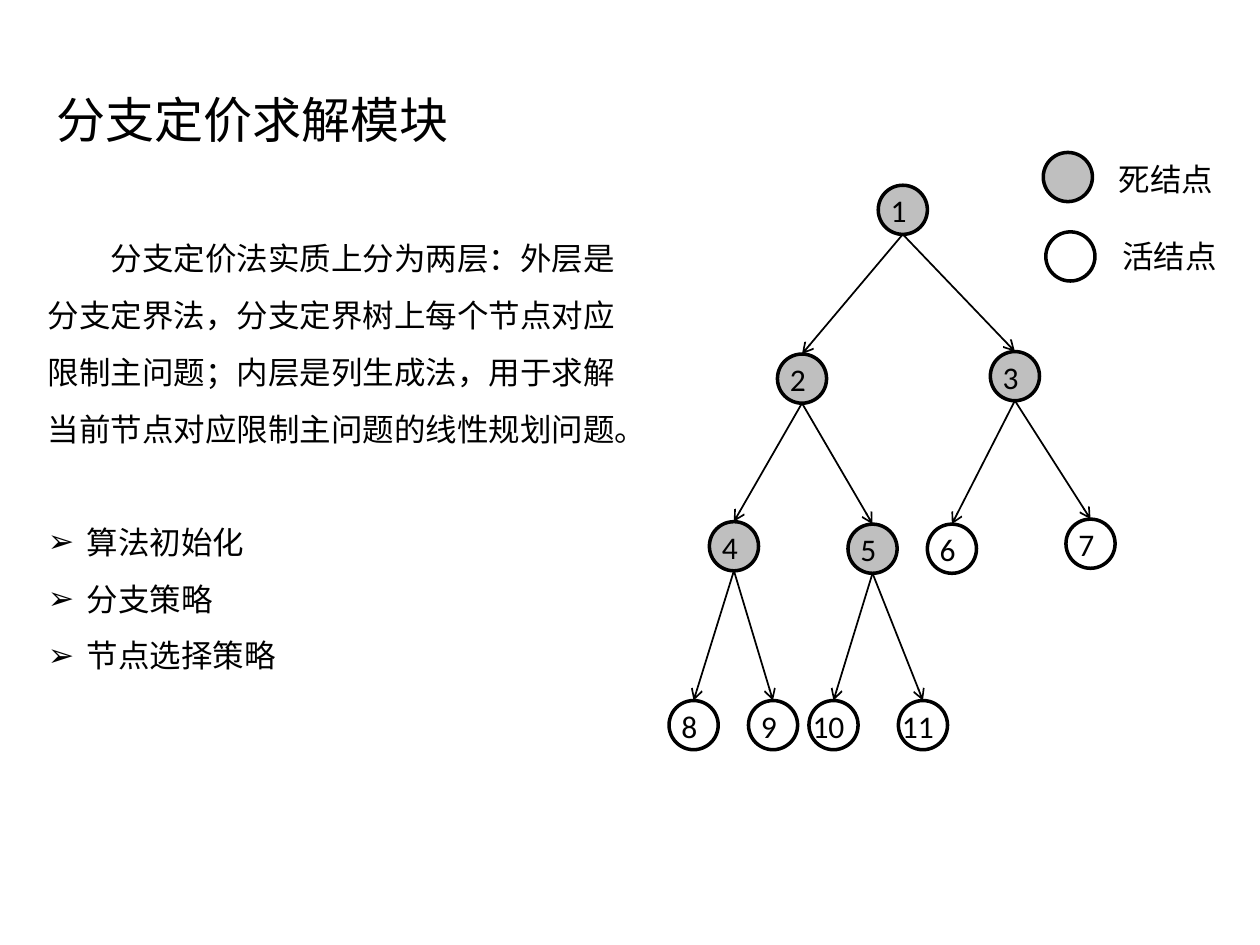
from lxml.etree import SubElement
from pptx import Presentation
from pptx.dml.color import RGBColor
from pptx.enum.shapes import MSO_CONNECTOR as Connector, MSO_SHAPE as Shape
from pptx.enum.text import MSO_ANCHOR as Anchor, MSO_AUTO_SIZE as AutoSize, PP_ALIGN as Align
from pptx.oxml.ns import qn
from pptx.util import Inches, Pt

BLACK, GREY = "000000", "BFBFBF"
SIZE = 0.39
INTRO = (
    "分支定价法实质上分为两层：外层是分支定界法，分支定界树上每个节点对应"
    "限制主问题；内层是列生成法，用于求解当前节点对应限制主问题的线性规划问题。"
)
TOPICS = ["算法初始化", "分支策略", "节点选择策略"]
NODES = {
    1: (6.97, 1.47), 2: (6.17, 2.81), 3: (7.86, 2.79), 4: (5.63, 4.14),
    5: (6.73, 4.16), 6: (7.36, 4.16), 7: (8.46, 4.12), 8: (5.31, 5.56),
    9: (5.94, 5.56), 10: (6.42, 5.56), 11: (7.13, 5.56),
}
CHILDREN = {1: (2, 3), 2: (4, 5), 3: (6, 7), 4: (8, 9), 5: (10, 11)}
LEGEND = [("死结点", 8.28, 1.21, GREY, 8.78, 1.22), ("活结点", 8.3, 1.84, None, 8.81, 1.83)]


def color(value):
    """Turn a hex string into a colour."""
    return RGBColor.from_string(value)


def apply(target, values):
    """Set every attribute named in a dict."""
    for name, value in values.items():
        setattr(target, name, value)


class TreeSlide:
    """Hold the style and the current slide, and draw its elements."""

    def __init__(self, deck):
        """Add a page with a title and a body."""
        self.page = deck.slides.add_slide(deck.slide_layouts[1])
        self.label = {"name": "Calibri", "size": Pt(18)}
        self.heading = {"name": "Arial", "size": Pt(28)}
        self.prose = {"name": "Times New Roman", "size": Pt(18)}

    def place(self, box, left, top, width, height):
        """Move and size a placeholder."""
        apply(box, {"left": Inches(left), "top": Inches(top),
                    "width": Inches(width), "height": Inches(height)})

    def add_span(self, para, text, style):
        """Add a left-aligned span of text in a style."""
        para.alignment = Align.LEFT
        span = para.add_run()
        span.text = text
        apply(span.font, style)
        span.font.color.rgb = color(BLACK)

    def title(self, text, *bounds):
        """Fill the title placeholder."""
        box = self.page.shapes.title
        self.place(box, *bounds)
        apply(box.text_frame, {"vertical_anchor": Anchor.MIDDLE, "word_wrap": True,
                               "auto_size": AutoSize.NONE})
        self.add_span(box.text_frame.paragraphs[0], text, self.heading)

    def body(self, intro, topics, *bounds):
        """Fill the body placeholder with an indented paragraph and a bulleted list."""
        box = self.page.placeholders[1]
        self.place(box, *bounds)
        frame = box.text_frame
        apply(frame, {"vertical_anchor": Anchor.TOP, "word_wrap": True,
                      "auto_size": AutoSize.NONE})
        for index, text in enumerate([intro, *topics]):
            para = frame.paragraphs[0] if index == 0 else frame.add_paragraph()
            gap = Pt(32.5) if index == 1 else Pt(0)
            apply(para, {"line_spacing": 1.5, "space_before": gap, "space_after": Pt(0)})
            self.add_span(para, text, self.prose)
            margin, indent = (0.31, -0.31) if index else (0, 0.5)
            props = para._p.get_or_add_pPr()
            props.set("marL", str(Inches(margin)))
            props.set("indent", str(Inches(indent)))
            if index:
                SubElement(props, qn("a:buFont"), typeface="Arial")
                SubElement(props, qn("a:buChar"), char="➢")
            else:
                SubElement(props, qn("a:buNone"))

    def circle(self, left, top, fill):
        """Draw an outlined circle, filled or open."""
        shape = self.page.shapes.add_shape(
            Shape.OVAL, Inches(left), Inches(top), Inches(SIZE), Inches(SIZE))
        shape.shadow.inherit = False
        if fill:
            shape.fill.solid()
            shape.fill.fore_color.rgb = color(fill)
        else:
            shape.fill.background()
        shape.line.color.rgb = color(BLACK)
        shape.line.width = Pt(2)
        return shape

    def text(self, text, left, top, width):
        """Put a label in a text box."""
        box = self.page.shapes.add_textbox(
            Inches(left), Inches(top), Inches(width), Inches(0.4))
        box.text_frame.word_wrap = True
        self.add_span(box.text_frame.paragraphs[0], text, self.label)

    def node(self, number, left, top, fill):
        """Draw a numbered tree node."""
        shape = self.circle(left, top, fill)
        wide = number > 9
        self.text(str(number), left - 0.07 if wide else left, top, 0.51 if wide else SIZE)
        return shape

    def arrow(self, parent, child):
        """Draw an arrow from the bottom of a parent to the top of a child."""
        line = self.page.shapes.add_connector(
            Connector.STRAIGHT, parent.left + parent.width // 2, parent.top + parent.height,
            child.left + child.width // 2, child.top)
        line.end_connect(child, 0)
        line.line.color.rgb = color(BLACK)
        line.line.width = Pt(1)
        outline = line._element.spPr.find(qn("a:ln"))
        SubElement(outline, qn("a:tailEnd"), type="arrow")
        SubElement(line._element.spPr, qn("a:effectLst"))


def main():
    """Build the slide and save it."""
    deck = Presentation()
    apply(deck, {"slide_width": Inches(10), "slide_height": Inches(7.5)})
    slide = TreeSlide(deck)
    slide.title("分支定价求解模块", 0.35, 0.66, 3.62, 0.57)
    slide.body(INTRO, TOPICS, 0.28, 1.7, 4.88, 3.74)
    nodes = {
        number: slide.node(number, left, top, GREY if number in CHILDREN else None)
        for number, (left, top) in NODES.items()
    }
    for parent, children in CHILDREN.items():
        for child in children:
            slide.arrow(nodes[parent], nodes[child])
    for name, left, top, fill, text_left, text_top in LEGEND:
        slide.circle(left, top, fill)
        slide.text(name, text_left, text_top, 1.1)
    deck.save("out.pptx")


if __name__ == "__main__":
    main()
